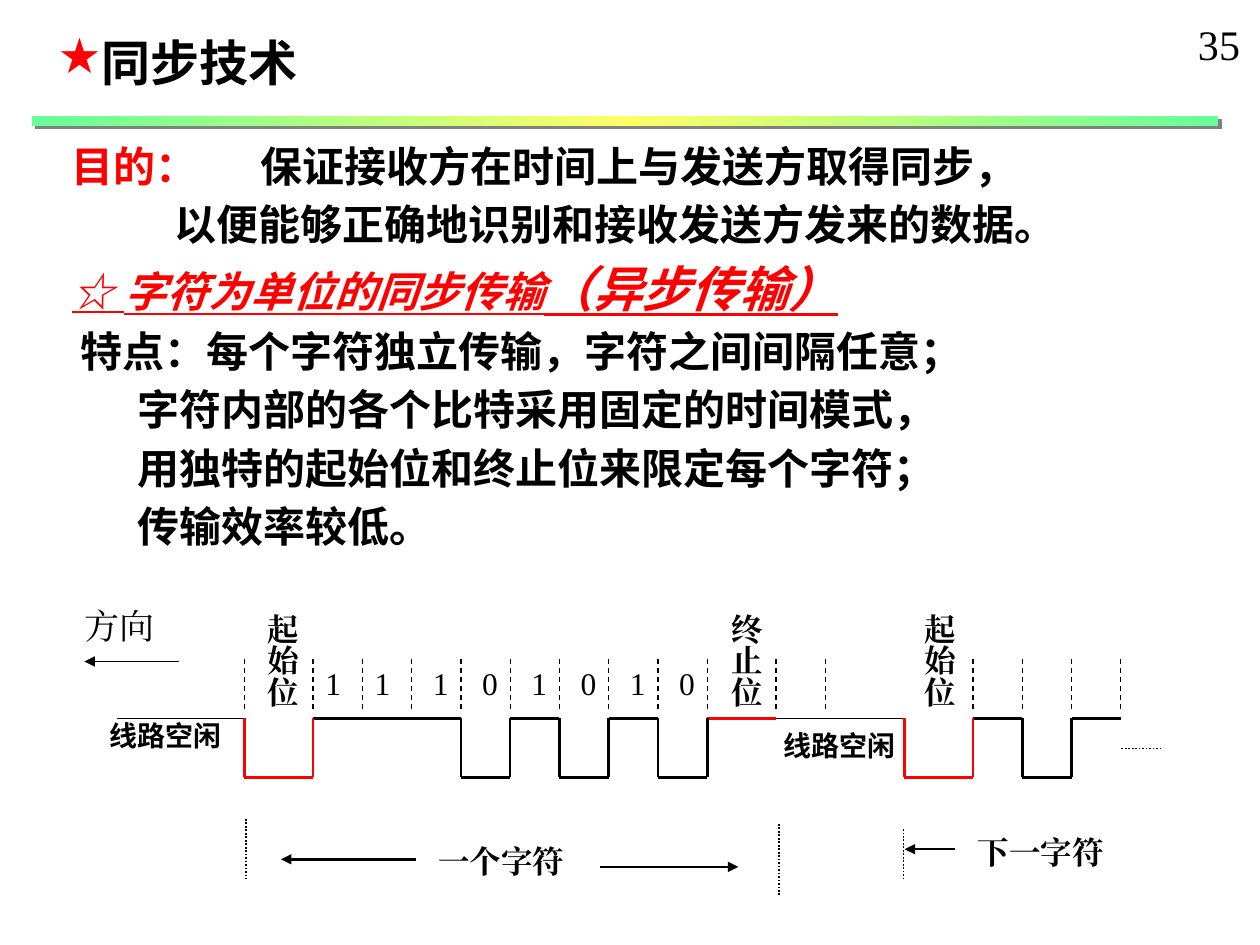
from lxml import etree
from pptx import Presentation
from pptx.dml.color import RGBColor
from pptx.enum.dml import MSO_LINE
from pptx.enum.shapes import MSO_CONNECTOR, MSO_SHAPE
from pptx.oxml.ns import qn
from pptx.util import Inches, Pt

STRAIGHT, RECTANGLE = MSO_CONNECTOR.STRAIGHT, MSO_SHAPE.RECTANGLE
DASH, DOT = MSO_LINE.DASH, MSO_LINE.ROUND_DOT
SANS, SERIF = "Noto Sans CJK SC", "Times New Roman"
RED, BLACK = "FF0000", "000000"

# Body lines: left margin, line height in points, runs of (text, colour, size, font, emphasis)
BODY = [
    (0, 33.4, [("目的：", RED, 24, SANS, False),
               ("\t保证接收方在时间上与发送方取得同步，", BLACK, 24, SANS, False)]),
    (0.82, 33.4, [("以便能够正确地识别和接收发送方发来的数据。", BLACK, 24, SANS, False)]),
    (0, 39, [("☆ ", RED, 24, SERIF, True),
             ("字符为单位的同步传输", RED, 24, SANS, True),
             ("（异步传输）", RED, 28, SANS, True)]),
    (0.07, 33.4, [("特点：每个字符独立传输，字符之间间隔任意；", BLACK, 24, SANS, False)]),
    (0.52, 33.4, [("字符内部的各个比特采用固定的时间模式，", BLACK, 24, SANS, False)]),
    (0.52, 33.4, [("用独特的起始位和终止位来限定每个字符；", BLACK, 24, SANS, False)]),
    (0.52, 33.4, [("传输效率较低。", BLACK, 24, SANS, False)]),
]
BODY_TAB = 1.37

# Labels: text, left, top, width, height, size, font, bold, vertical
LABELS = [
    ("35", 9.41, 0.1, 0.54, 0.5, 24, SERIF, False, False),
    ("方向", 0.57, 4.75, 0.76, 0.43, 20, SERIF, False, False),
    ("线路空闲", 0.77, 5.65, 1.12, 0.36, 16, SANS, True, False),
    ("线路空闲", 6.12, 5.73, 1.12, 0.36, 16, SANS, True, False),
    ("一个字符", 3.38, 6.63, 1.38, 0.4, 18, SERIF, True, False),
    ("下一字符", 7.66, 6.56, 1.55, 0.4, 18, SERIF, True, False),
    ("起始位", 1.94, 4.77, 0.5, 0.85, 18, SERIF, True, True),
    ("终止位", 5.62, 4.77, 0.5, 0.85, 18, SERIF, True, True),
    ("起始位", 7.15, 4.77, 0.5, 0.85, 18, SERIF, True, True),
]

# Arrows: tail x, tip x, y, line width
ARROWS = [(1.42, 0.67, 5.25, 1), (3.3, 2.23, 6.82, 1.5),
          (4.76, 5.86, 6.88, 1.5), (7.58, 7.18, 6.74, 1)]
# Dotted lines: x1, y1, x2, y2
DOTTED = [(1.95, 6.5, 1.95, 6.98), (6.18, 6.54, 6.18, 7.11),
          (7.17, 6.58, 7.17, 6.98), (8.9, 5.94, 9.22, 5.94)]

# Signal: slots of (kind, level, width)
BIT, FRAME_BIT = 0.391, 0.545
BITS, NEXT_BITS = "11101010", "101"
START, STOP = ("start", 0, FRAME_BIT), ("stop", 1, FRAME_BIT)
SIGNAL = ([("idle", 1, 1.01), START] + [("bit", int(b), BIT) for b in BITS]
          + [STOP, ("idle", 1, 1.02), START] + [("bit", int(b), BIT) for b in NEXT_BITS])
SIGNAL_LEFT = 0.93
LEVEL_Y = {1: 5.7, 0: 6.17}
TICK_TOP, TICK_BOTTOM, DIGIT_TOP = 5.23, 5.63, 5.22

deck = Presentation()
deck.slide_width, deck.slide_height = Inches(10), Inches(7.5)
page = deck.slides.add_slide(deck.slide_layouts[6])


def rgb(value):
    return RGBColor.from_string(value)


def child(parent, tag, **attributes):
    return etree.SubElement(parent, qn(tag), attributes)


def style(font, size, face, color=BLACK, bold=False):
    """Set size, colour, weight, and the face for Latin and East Asian text."""
    font.size, font.bold, font.name = Pt(size), bold, face
    font.color.rgb = rgb(color)
    font._element.find(qn("a:latin")).addnext(
        etree.Element(qn("a:ea"), {"typeface": face}))


def add_box(left, top, width, height, wrap=False):
    box = page.shapes.add_textbox(*map(Inches, (left, top, width, height)))
    box.text_frame.word_wrap = wrap
    return box.text_frame


def add_label(text, left, top, width, height, size, face, bold=False, vertical=False):
    frame = add_box(left, top, width, height)
    if vertical:
        frame._txBody.bodyPr.set("vert", "eaVert")
    para = frame.paragraphs[0]
    para.text = text
    style(para.font, size, face, bold=bold)


def add_line(x1, y1, x2, y2, width, color=BLACK, dash=None, arrow=False):
    line = page.shapes.add_connector(STRAIGHT, *map(Inches, (x1, y1, x2, y2)))
    line.line.width = Pt(width)
    line.line.color.rgb = rgb(color)
    if dash is not None:
        line.line.dash_style = dash
    if arrow:
        child(line.line._get_or_add_ln(), "a:tailEnd", type="triangle")
    child(line._element.spPr, "a:effectLst")


def set_indent(para, left, hanging=0):
    properties = para._p.get_or_add_pPr()
    properties.set("marL", str(Inches(left)))
    properties.set("indent", str(-Inches(hanging)))
    return properties


def add_title():
    para = add_box(0.36, 0.21, 2.67, 0.57, wrap=True).paragraphs[0]
    properties = set_indent(para, 0.33, 0.33)
    child(child(properties, "a:buClr"), "a:srgbClr", val=RED)
    child(properties, "a:buChar", char="★")
    para.text = "同步技术"
    style(para.font, 28, SANS, bold=True)


def add_rule():
    """Gradient bar with a hard grey shadow under the title."""
    bar = page.shapes.add_shape(RECTANGLE, *map(Inches, (0.25, 0.92, 9.42, 0.08)))
    bar.line.fill.background()
    bar.fill.gradient()
    bar.fill.gradient_angle = 0
    stops = bar._element.spPr.find(qn("a:gradFill")).find(qn("a:gsLst"))
    stops.clear()
    for position, color in ((0, "66FF99"), (50, "FFFF66"), (100, "66FF99")):
        stop = child(stops, "a:gs", pos=str(position * 1000))
        child(stop, "a:srgbClr", val=color)
    effects = child(bar._element.spPr, "a:effectLst")
    shadow = child(effects, "a:outerShdw", dist=str(Pt(2.8)), dir="2700000", algn="ctr")
    child(shadow, "a:srgbClr", val="808080")


def add_body():
    frame = add_box(0.47, 1.0, 9.18, 3.9)
    for index, (left, height, spans) in enumerate(BODY):
        para = frame.add_paragraph() if index else frame.paragraphs[0]
        para.line_spacing = Pt(height)
        properties = set_indent(para, left)
        if spans[-1][0].startswith("\t"):
            tabs = child(properties, "a:tabLst")
            child(tabs, "a:tab", pos=str(Inches(BODY_TAB)), algn="l")
        for text, color, size, face, emphasis in spans:
            span = para.add_run()
            span.text = text
            span.font.italic = span.font.underline = emphasis
            style(span.font, size, face, color, bold=True)


def add_tick(x):
    add_line(x, TICK_TOP, x, TICK_BOTTOM, 0.75, dash=DASH)


def add_signal():
    x, before, bit_number = SIGNAL_LEFT, None, 0
    for kind, level, width in SIGNAL:
        y = LEVEL_Y[level]
        color = RED if kind in ("start", "stop") else BLACK
        add_line(x, y, x + width, y, 0.75 if kind == "idle" else 1.5, color)
        if before:
            if level != before[1]:
                edge_color = RED if "start" in (kind, before[0]) else BLACK
                add_line(x, LEVEL_Y[1], x, LEVEL_Y[0], 1.5, edge_color)
            if (before[0], kind) != ("idle", "start") or bit_number == 0:
                add_tick(x)
        if kind == "bit":
            if bit_number < len(BITS):
                shift = 0 if bit_number < 2 else 0.07
                add_label(str(level), x + shift, DIGIT_TOP, 0.33, 0.4, 18, SERIF)
            bit_number += 1
        if kind == "stop":
            add_tick(x + width + BIT)
        x, before = x + width, (kind, level)
    add_tick(x)


add_title()
add_rule()
add_body()
for label in LABELS:
    add_label(*label)
add_signal()
for tail, tip, y, width in ARROWS:
    add_line(tail, y, tip, y, width, arrow=True)
for ends in DOTTED:
    add_line(*ends, 1, dash=DOT)
deck.save("out.pptx")
